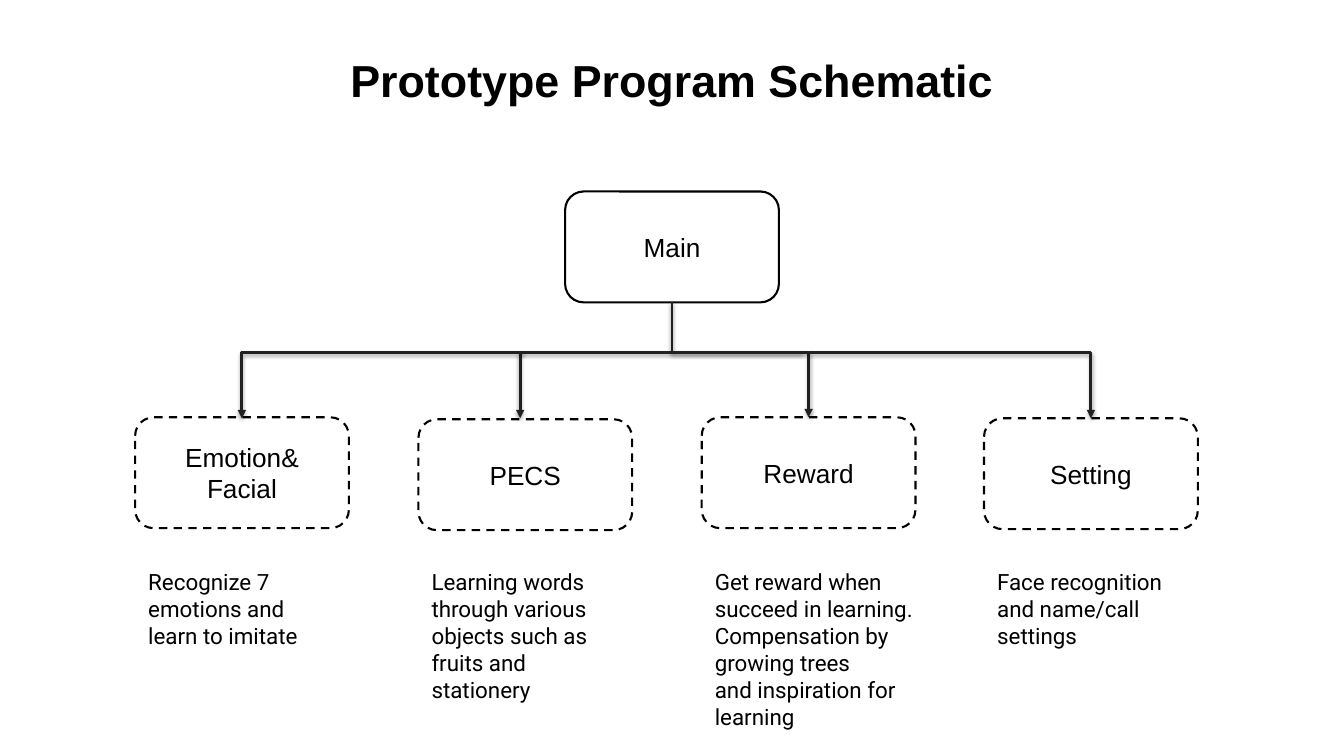
from lxml.etree import SubElement as Sub
from pptx import Presentation
from pptx.dml.color import RGBColor as RGB
from pptx.enum.dml import MSO_LINE as Dash
from pptx.enum.shapes import MSO_CONNECTOR as Link, MSO_SHAPE as Kind
from pptx.enum.text import MSO_ANCHOR as Anchor, PP_ALIGN as Align
from pptx.oxml.ns import qn
from pptx.util import Inches, Pt

TITLE = "Prototype Program Schematic"
ROOT = "Main"
PARTS = [
    (1.34, 4.14, "Emotion&\nFacial", "Recognize 7 emotions and learn to imitate", 2.12),
    (4.15, 4.16, "PECS",
     "Learning words through various objects such as fruits and stationery", 2.12),
    (6.96, 4.14, "Reward", "Get reward when succeed in learning.\vCompensation by growing trees"
                           "\vand inspiration for learning", 2.52),
    (9.76, 4.15, "Setting", "Face recognition and name/call settings", 2.12),
]
WIDE, HIGH = 13.33, 7.5
BOX_W, BOX_H = 2.12, 1.1
ROOT_Y, BUS_Y, NOTE_Y = 1.9, 3.5, 5.51
SPAN, DROP = 2.8, 0.65
BENDS = [(8.02, SPAN), (7.96, -SPAN), (5.2, -SPAN)]
INK, WIRE = "000000", "212121"

deck = Presentation()
deck.slide_width, deck.slide_height = Inches(WIDE), Inches(HIGH)
slide = deck.slides.add_slide(deck.slide_layouts[6])


def tint(code):
    return RGB.from_string(code)


def write(shape, text, size, font="Arial", align=Align.CENTER, bold=False, anchor=Anchor.TOP):
    frame = shape.text_frame
    frame.word_wrap = True
    frame.vertical_anchor = anchor
    frame.margin_left = frame.margin_right = Inches(0.13)
    frame.margin_top = frame.margin_bottom = Inches(0.13)
    frame.text = text
    for para in frame.paragraphs:
        para.alignment = align
        for run in para.runs:
            run.font.size, run.font.name, run.font.bold = Pt(size), font, bold
            run.font.color.rgb = tint(INK)


def label(x, y, w, h, *args, **style):
    write(slide.shapes.add_textbox(*map(Inches, (x, y, w, h))), *args, **style)


def node(x, y, text, dash=None):
    box = slide.shapes.add_shape(Kind.ROUNDED_RECTANGLE, *map(Inches, (x, y, BOX_W, BOX_H)))
    box.shadow.inherit = False
    box.fill.background()
    box.line.color.rgb = tint(INK)
    box.line.width = Pt(1.5)
    if dash:
        box.line.dash_style = dash
    write(box, text, 18.7, anchor=Anchor.MIDDLE)


def wire(x1, y1, x2, y2):
    line = slide.shapes.add_connector(Link.ELBOW, *map(Inches, (x1, y1, x2, y2)))
    line.line.color.rgb = tint(WIRE)
    line.line.width = Pt(2)
    Sub(line.line._get_or_add_ln(), qn("a:tailEnd"), type="triangle")
    props = line._element.spPr
    glow = Sub(Sub(props, qn("a:effectLst")), qn("a:outerShdw"),
               blurRad=str(Pt(3.1)), dist=str(Pt(1.6)), dir="5400000", rotWithShape="0")
    Sub(Sub(glow, qn("a:srgbClr"), val=INK), qn("a:alpha"), val="38000")
    return props


def trunk(x1, y1, x2, y2):
    mid_x, mid_y = (x1 + x2) / 2, (y1 + y2) / 2
    half_w, half_h = (x2 - x1) / 2, (y2 - y1) / 2
    props = wire(mid_x + half_h, mid_y - half_w, mid_x - half_h, mid_y + half_w)
    props.find(qn("a:xfrm")).set("rot", "16200000")
    share = round((BUS_Y - y1) / (y2 - y1) * 100000)
    Sub(props.find(qn("a:prstGeom")).find(qn("a:avLst")), qn("a:gd"),
        name="adj1", fmla=f"val {share}")


label(0.45, 0.39, WIDE - 0.9, 0.84, TITLE, 32, bold=True)
mid = WIDE / 2
node(mid - BOX_W / 2, ROOT_Y, ROOT)
for x, y, name, note, width in PARTS:
    node(x, y, name, Dash.DASH)
    label(x, NOTE_Y, width, HIGH - NOTE_Y - 0.11, note, 16, "Roboto", Align.LEFT)

reward_x, reward_y = PARTS[2][:2]
trunk(mid, ROOT_Y + BOX_H, reward_x + BOX_W / 2, reward_y)
for x, run in BENDS:
    bend = wire(x, BUS_Y, x + run, BUS_Y + DROP)
    bend.find(qn("a:prstGeom")).set("prst", "bentConnector2")

deck.save("out.pptx")
